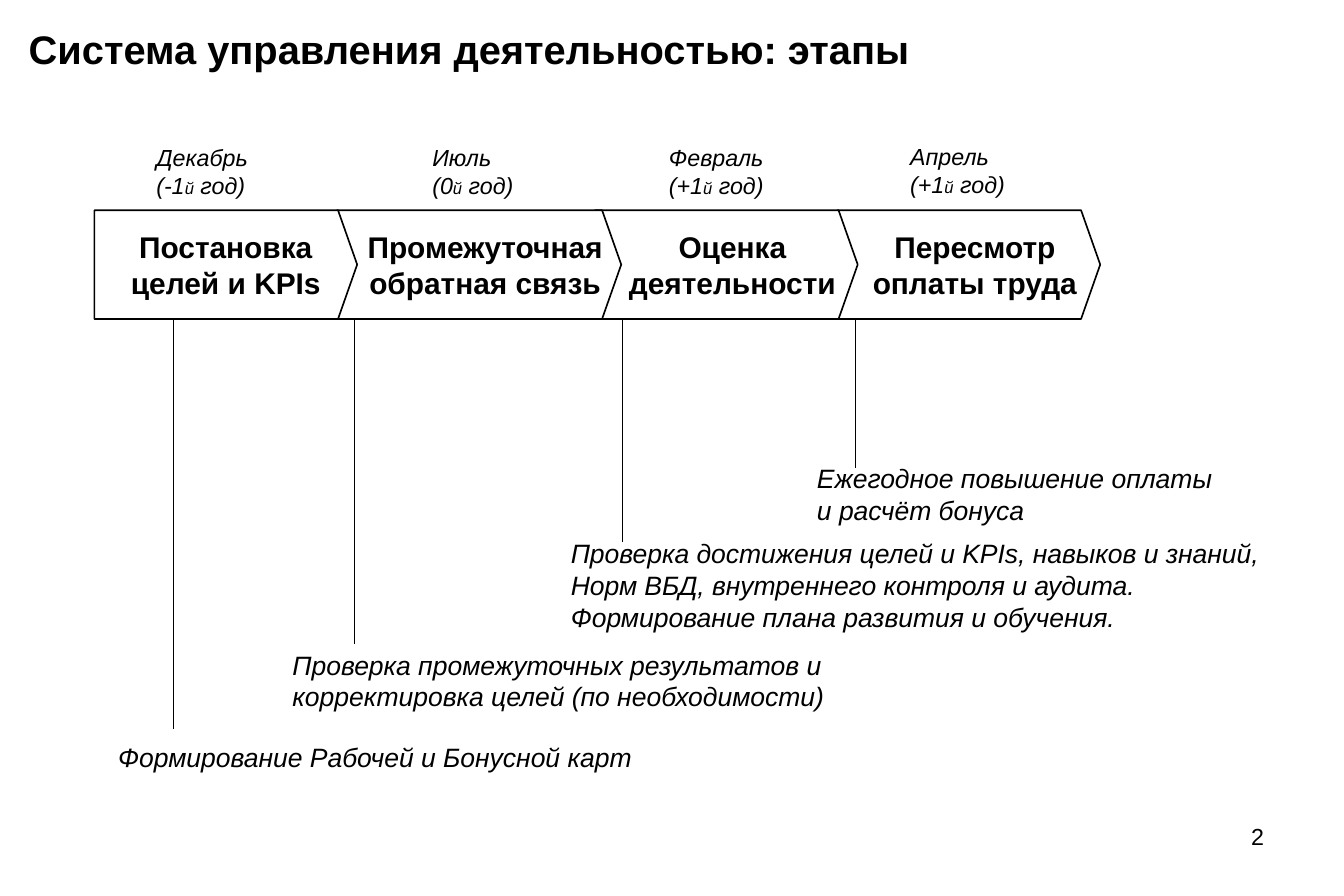
from dataclasses import dataclass

from lxml.etree import SubElement
from pptx import Presentation
from pptx.dml.color import RGBColor
from pptx.enum.shapes import MSO_CONNECTOR
from pptx.enum.text import MSO_ANCHOR, MSO_AUTO_SIZE, PP_ALIGN
from pptx.oxml.ns import qn
from pptx.shapes.base import BaseShape
from pptx.slide import Slide
from pptx.text.text import TextFrame, _Paragraph
from pptx.util import Inches, Pt

BLACK = RGBColor(0, 0, 0)
WHITE = RGBColor(255, 255, 255)

TOP, HIGH, TIP = 1.76, 0.91, 0.16

HEAD = {"name": "Arial", "size": Pt(24), "bold": True}
STAGE = {"name": "Arial", "size": Pt(18), "bold": True}
NOTE = {"name": "Arial", "size": Pt(16), "italic": True}
DATE = {"name": "Arial", "size": Pt(14), "italic": True}
SMALL = DATE | {"size": Pt(10)}
PAGE = {"name": "Arial", "size": Pt(14)}


@dataclass(frozen=True)
class Box:
    left: float
    top: float
    width: float
    height: float


@dataclass(frozen=True)
class Step:
    name: str
    left: float
    width: float
    inset: float
    month: str
    year: str
    date: Box
    stem: float
    end: float
    note: str
    place: Box
    wrap: bool


STEPS = [
    Step("Постановка целей и KPIs", 0.79, 2.2, 0.1,
         "Декабрь", "(-1", Box(1.21, 1.15, 0.99, 0.57), 1.45, 6.1,
         "Формирование Рабочей и Бонусной карт",
         Box(0.89, 6.15, 4.52, 0.37), False),
    Step("Промежуточная обратная связь", 2.82, 2.38, 0.2,
         "Июль", "(0", Box(3.52, 1.15, 0.88, 0.57), 2.97, 5.39,
         "Проверка промежуточных результатов и корректировка целей "
         "(по необходимости)",
         Box(2.35, 5.38, 4.76, 0.64), True),
    Step("Оценка деятельности", 4.98, 2.2, 0.2,
         "Февраль", "(+1", Box(5.5, 1.15, 0.99, 0.57), 5.21, 4.54,
         "Проверка достижения целей и KPIs, навыков и знаний, Норм ВБД, "
         "внутреннего контроля и аудита. Формирование плана развития "
         "и обучения.",
         Box(4.68, 4.45, 6, 0.9), True),
    Step("Пересмотр оплаты труда", 7.01, 2.2, 0.2,
         "Апрель", "(+1", Box(7.52, 1.14, 0.99, 0.57), 7.16, 3.92,
         "Ежегодное повышение оплаты и расчёт бонуса",
         Box(6.74, 3.82, 3.51, 0.64), True),
]


def add_run(para: _Paragraph, text: str, form: dict) -> None:
    run = para.add_run()
    run.text = text
    for key, value in form.items():
        setattr(run.font, key, value)
    run.font.color.rgb = BLACK


def add_box(slide: Slide, box: Box, wrap: bool) -> TextFrame:
    shape = slide.shapes.add_textbox(
        Inches(box.left), Inches(box.top), Inches(box.width), Inches(box.height))
    frame = shape.text_frame
    frame.word_wrap = wrap
    frame.auto_size = MSO_AUTO_SIZE.SHAPE_TO_FIT_TEXT
    return frame


def add_stage(slide: Slide, step: Step) -> BaseShape:
    right = step.left + step.width
    neck, base = right - TIP, TOP + HIGH
    points = [(neck, TOP), (right, TOP + HIGH / 2), (neck, base), (step.left, base)]
    pen = slide.shapes.build_freeform(Inches(step.left), Inches(TOP))
    pen.add_line_segments([(Inches(x), Inches(y)) for x, y in points], close=True)
    shape = pen.convert_to_shape()
    shape.shadow.inherit = False
    shape.fill.solid()
    shape.fill.fore_color.rgb = WHITE
    shape.line.color.rgb = BLACK
    shape.line.width = Pt(1)
    frame = shape.text_frame
    frame.word_wrap = True
    frame.vertical_anchor = MSO_ANCHOR.MIDDLE
    frame.margin_left = Inches(step.inset)
    para = frame.paragraphs[0]
    para.alignment = PP_ALIGN.CENTER
    add_run(para, step.name, STAGE)
    return shape


def add_date(slide: Slide, step: Step) -> None:
    frame = add_box(slide, step.date, False)
    add_run(frame.paragraphs[0], step.month, DATE)
    para = frame.add_paragraph()
    for text, form in ((step.year, DATE), ("й", SMALL), (" год)", DATE)):
        add_run(para, text, form)


def add_stem(slide: Slide, step: Step) -> None:
    stem = slide.shapes.add_connector(
        MSO_CONNECTOR.STRAIGHT, Inches(step.stem), Inches(TOP + HIGH),
        Inches(step.stem), Inches(step.end))
    stem.line.color.rgb = BLACK
    stem.line.width = Pt(0.75)
    SubElement(stem._element.spPr, qn("a:effectLst"))


def add_title(slide: Slide, text: str) -> None:
    title = slide.shapes.title
    title.left, title.top = Inches(0.14), Inches(0.1)
    title.width, title.height = Inches(9.61), Inches(0.62)
    frame = title.text_frame
    frame.auto_size = MSO_AUTO_SIZE.NONE
    frame.word_wrap = True
    frame.vertical_anchor = MSO_ANCHOR.MIDDLE
    para = frame.paragraphs[0]
    para.alignment = PP_ALIGN.LEFT
    add_run(para, text, HEAD)


def main() -> None:
    deck = Presentation()
    deck.slide_width, deck.slide_height = Inches(11.25), Inches(7.5)
    slide = deck.slides.add_slide(deck.slide_layouts[5])
    add_title(slide, "Система управления деятельностью: этапы")
    for step in reversed(STEPS):
        add_stage(slide, step)
    for step in STEPS:
        add_date(slide, step)
        add_stem(slide, step)
        add_run(add_box(slide, step.place, step.wrap).paragraphs[0], step.note, NOTE)
    frame = add_box(slide, Box(8.06, 6.83, 2.62, 0.52), True)
    frame.auto_size = MSO_AUTO_SIZE.NONE
    para = frame.paragraphs[0]
    para.alignment = PP_ALIGN.RIGHT
    add_run(para, "2", PAGE)
    deck.save("out.pptx")


if __name__ == "__main__":
    main()
